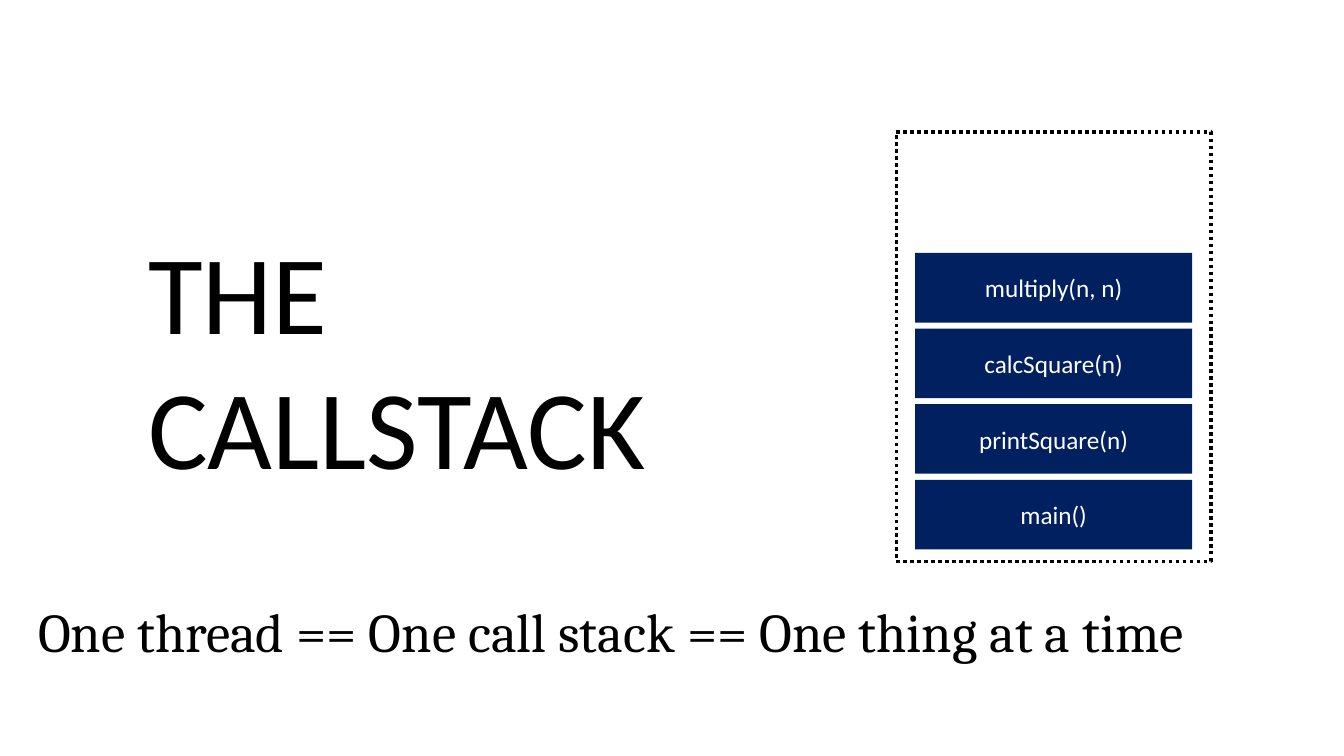
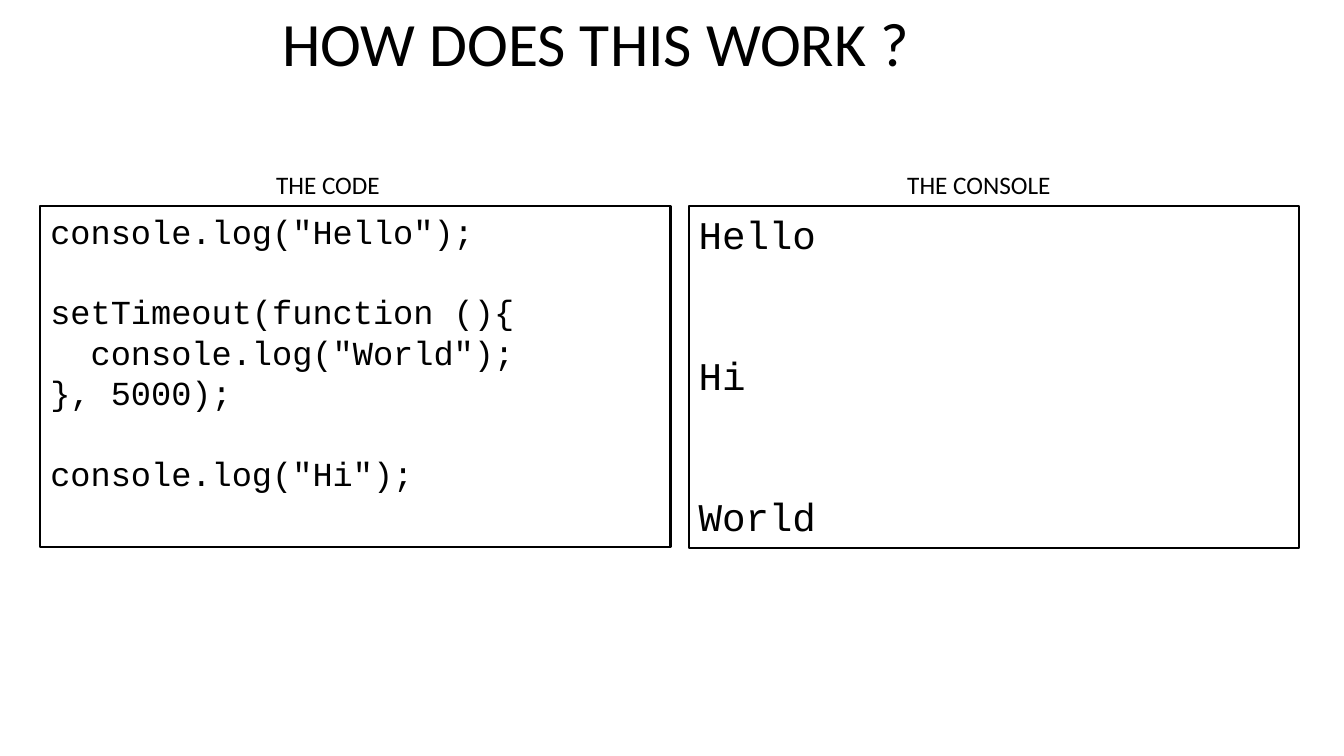
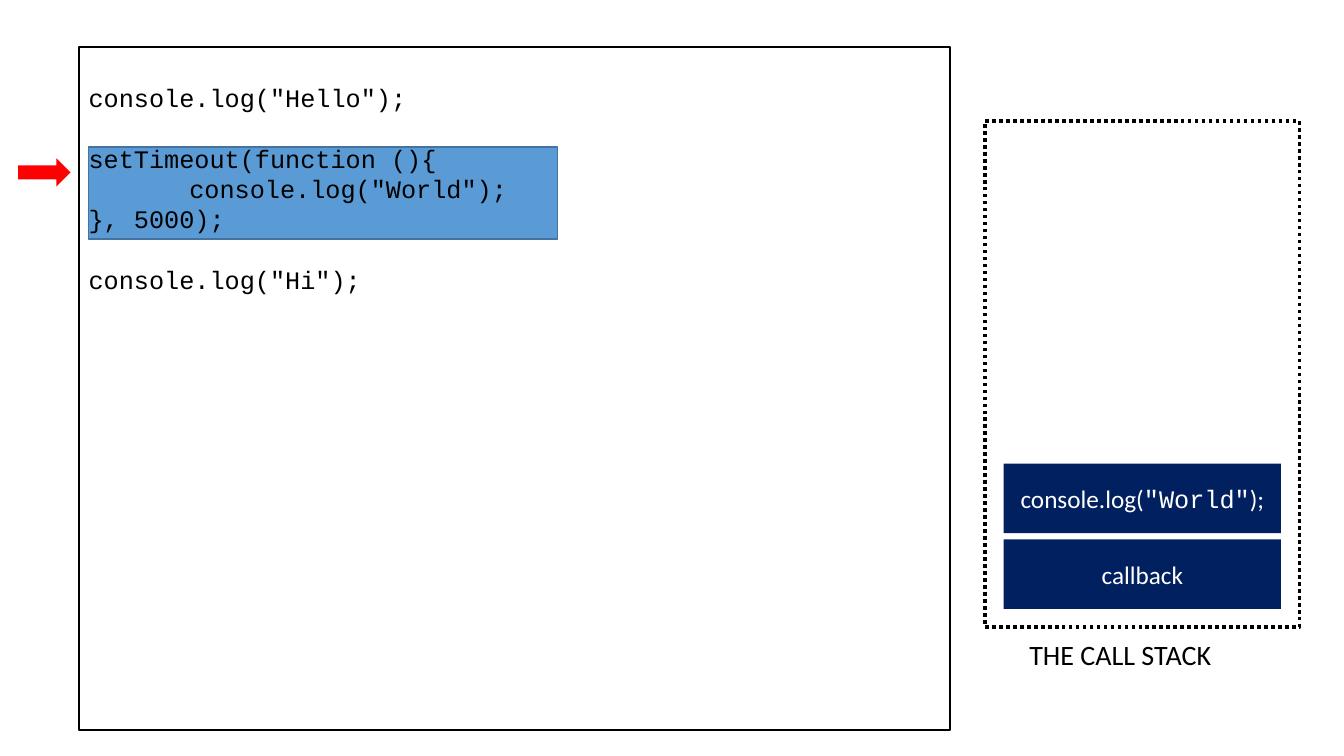
from dataclasses import dataclass
from typing import NamedTuple, Optional, Sequence

from pptx import Presentation
from pptx.dml.color import RGBColor
from pptx.enum.dml import MSO_LINE
from pptx.enum.shapes import MSO_SHAPE
from pptx.enum.text import MSO_ANCHOR, MSO_AUTO_SIZE, PP_ALIGN
from pptx.shapes.autoshape import Shape
from pptx.slide import Slide
from pptx.text.text import TextFrame, _Paragraph as Paragraph
from pptx.util import Inches, Pt

BLACK = RGBColor(0x00, 0x00, 0x00)
WHITE = RGBColor(0xFF, 0xFF, 0xFF)
NAVY = RGBColor(0x00, 0x20, 0x60)
HIGHLIGHT_BLUE = RGBColor(0x5B, 0x9B, 0xD5)
HIGHLIGHT_EDGE = RGBColor(0x43, 0x73, 0x9E)
RED = RGBColor(0xFF, 0x00, 0x00)

SANS, SERIF, MONO = "Calibri", "Cambria", "Courier New"
TITLE_ONLY, BLANK = 5, 6
LINE_HEIGHT = 1.2
INSET = 0.05
FRAME_WIDTH, FRAME_HEIGHT, FRAME_PITCH = 2.75, 0.69, 0.75


class Box(NamedTuple):
    """A rectangle on the slide, in inches."""
    left: float
    top: float
    width: float
    height: float


class Span(NamedTuple):
    """A piece of text in one font."""
    text: str
    font: str = SANS


class Outline(NamedTuple):
    """The look of a shape's border."""
    color: RGBColor
    width: float
    dash: Optional[MSO_LINE] = None


SOLID = Outline(BLACK, 1.5)
DOTTED = Outline(BLACK, 2.5, MSO_LINE.ROUND_DOT)


@dataclass(frozen=True)
class CodeLine:
    """A line of code with its indent in inches and the empty lines above it."""
    text: str
    indent: float = 0
    lines_above: int = 0


@dataclass(frozen=True)
class CallStack:
    """A dotted container whose calls pile up from the lowest one."""
    box: Box
    lowest_top: float
    calls: Sequence[Sequence[Span]]


def add_span(paragraph: Paragraph, span: Span, size: float, color: RGBColor = BLACK) -> None:
    """Append one formatted run."""
    run = paragraph.add_run()
    run.text = span.text
    run.font.name = span.font
    run.font.size = Pt(size)
    run.font.color.rgb = color


def prepare(frame: TextFrame, anchor: MSO_ANCHOR = MSO_ANCHOR.TOP) -> None:
    """Give a text frame the shared wrapping and insets."""
    frame.word_wrap = True
    frame.auto_size = MSO_AUTO_SIZE.NONE
    frame.vertical_anchor = anchor
    frame.margin_left = frame.margin_right = Inches(0.1)
    frame.margin_top = frame.margin_bottom = Inches(INSET)


def add_block(slide: Slide, box: Box, fill: Optional[RGBColor] = None,
              outline: Optional[Outline] = None,
              preset: MSO_SHAPE = MSO_SHAPE.RECTANGLE) -> Shape:
    """Draw a preset shape with the given fill and border."""
    block = slide.shapes.add_shape(preset, *map(Inches, box))
    block.shadow.inherit = False
    if fill is None:
        block.fill.background()
    else:
        block.fill.solid()
        block.fill.fore_color.rgb = fill
    if outline is None:
        block.line.fill.background()
    else:
        block.line.color.rgb = outline.color
        block.line.width = Pt(outline.width)
        if outline.dash is not None:
            block.line.dash_style = outline.dash
    return block


def set_title(slide: Slide, box: Box, text: str, size: float) -> None:
    """Move and format the title placeholder."""
    title = slide.shapes.title
    title.left, title.top, title.width, title.height = map(Inches, box)
    prepare(title.text_frame)
    heading = title.text_frame.paragraphs[0]
    heading.alignment = PP_ALIGN.LEFT
    add_span(heading, Span(text), size)


def add_label(slide: Slide, box: Box, span: Span, size: float) -> None:
    """Add a plain line of text."""
    label = slide.shapes.add_textbox(*map(Inches, box))
    prepare(label.text_frame)
    add_span(label.text_frame.paragraphs[0], span, size)


def add_code(slide: Slide, box: Box, lines: Sequence[CodeLine], size: float) -> None:
    """Draw a bordered listing; space above its first line goes into the inset."""
    listing = add_block(slide, box, outline=SOLID).text_frame
    prepare(listing)
    pitch = size * LINE_HEIGHT
    for number, line in enumerate(lines):
        row = listing.add_paragraph() if number else listing.paragraphs[0]
        row.alignment = PP_ALIGN.LEFT
        row.line_spacing = Pt(pitch)
        gap = Pt(pitch * line.lines_above)
        if number:
            row.space_before = gap
        else:
            listing.margin_top = Inches(INSET) + gap
        if line.indent:
            properties = row._p.get_or_add_pPr()
            properties.set("marL", str(Inches(line.indent)))
            properties.set("indent", "0")
        add_span(row, Span(line.text, MONO), size)


def add_call_stack(slide: Slide, stack: CallStack) -> None:
    """Draw the container and its calls, lowest first."""
    add_block(slide, stack.box, outline=DOTTED)
    left = stack.box.left + (stack.box.width - FRAME_WIDTH) / 2
    for level, call in enumerate(stack.calls):
        top = stack.lowest_top - level * FRAME_PITCH
        frame = add_block(slide, Box(left, top, FRAME_WIDTH, FRAME_HEIGHT), NAVY).text_frame
        prepare(frame, MSO_ANCHOR.MIDDLE)
        frame.paragraphs[0].alignment = PP_ALIGN.CENTER
        for span in call:
            add_span(frame.paragraphs[0], span, 18, WHITE)


def timeout_code(indent: float, lines_above: int = 0) -> list[CodeLine]:
    """Return the example program."""
    return [
        CodeLine('console.log("Hello");', lines_above=lines_above),
        CodeLine("setTimeout(function (){", lines_above=1),
        CodeLine('console.log("World");', indent=indent),
        CodeLine("}, 5000);"),
        CodeLine('console.log("Hi");', lines_above=1),
    ]


def build_callstack(slide: Slide) -> None:
    """Introduce the call stack."""
    set_title(slide, Box(1.37, 2.16, 7.01, 2.79), "THE CALLSTACK", 80)
    add_label(slide, Box(0.28, 5.88, 12.74, 0.76),
              Span("One thread == One call stack == One thing at a time", SERIF), 39)
    calls = ("main()", "printSquare(n)", "calcSquare(n)", "multiply(n, n)")
    add_call_stack(slide, CallStack(Box(8.89, 1.31, 3.12, 4.26), 4.76,
                                    [[Span(call)] for call in calls]))


def build_question(slide: Slide) -> None:
    """Show the code beside its console output."""
    add_code(slide, Box(0.4, 2.04, 6.25, 3.39), timeout_code(indent=0.4), 24)
    output = [CodeLine("Hello"), CodeLine("Hi", lines_above=2), CodeLine("World", lines_above=2)]
    add_code(slide, Box(6.83, 2.04, 6.05, 3.4), output, 28)
    set_title(slide, Box(2.7, 0, 8.17, 0.84), "HOW DOES THIS WORK ?", 44)
    add_label(slide, Box(2.64, 1.63, 1.56, 0.4), Span("THE CODE"), 18)
    add_label(slide, Box(8.9, 1.63, 2, 0.4), Span("THE CONSOLE"), 18)


def build_callback(slide: Slide) -> None:
    """Show the callback running on the stack."""
    add_block(slide, Box(0.88, 1.46, 4.65, 0.91), HIGHLIGHT_BLUE, Outline(HIGHLIGHT_EDGE, 1))
    add_code(slide, Box(0.78, 0.47, 8.64, 6.77), timeout_code(indent=1, lines_above=1), 18)
    add_label(slide, Box(10.11, 6.28, 2.69, 0.44), Span("THE CALL STACK"), 20)
    log_call = [Span("console.log("), Span('"World"', MONO), Span(");")]
    add_call_stack(slide, CallStack(Box(9.77, 1.2, 3.12, 5.02), 5.35,
                                    [[Span("callback")], log_call]))
    add_block(slide, Box(0.18, 1.57, 0.52, 0.28), RED, preset=MSO_SHAPE.RIGHT_ARROW)


def main() -> None:
    """Build and save the presentation."""
    deck = Presentation()
    deck.slide_width, deck.slide_height = Inches(13.33), Inches(7.5)
    for layout, build in ((TITLE_ONLY, build_callstack), (TITLE_ONLY, build_question),
                          (BLANK, build_callback)):
        build(deck.slides.add_slide(deck.slide_layouts[layout]))
    deck.save("out.pptx")


main()
